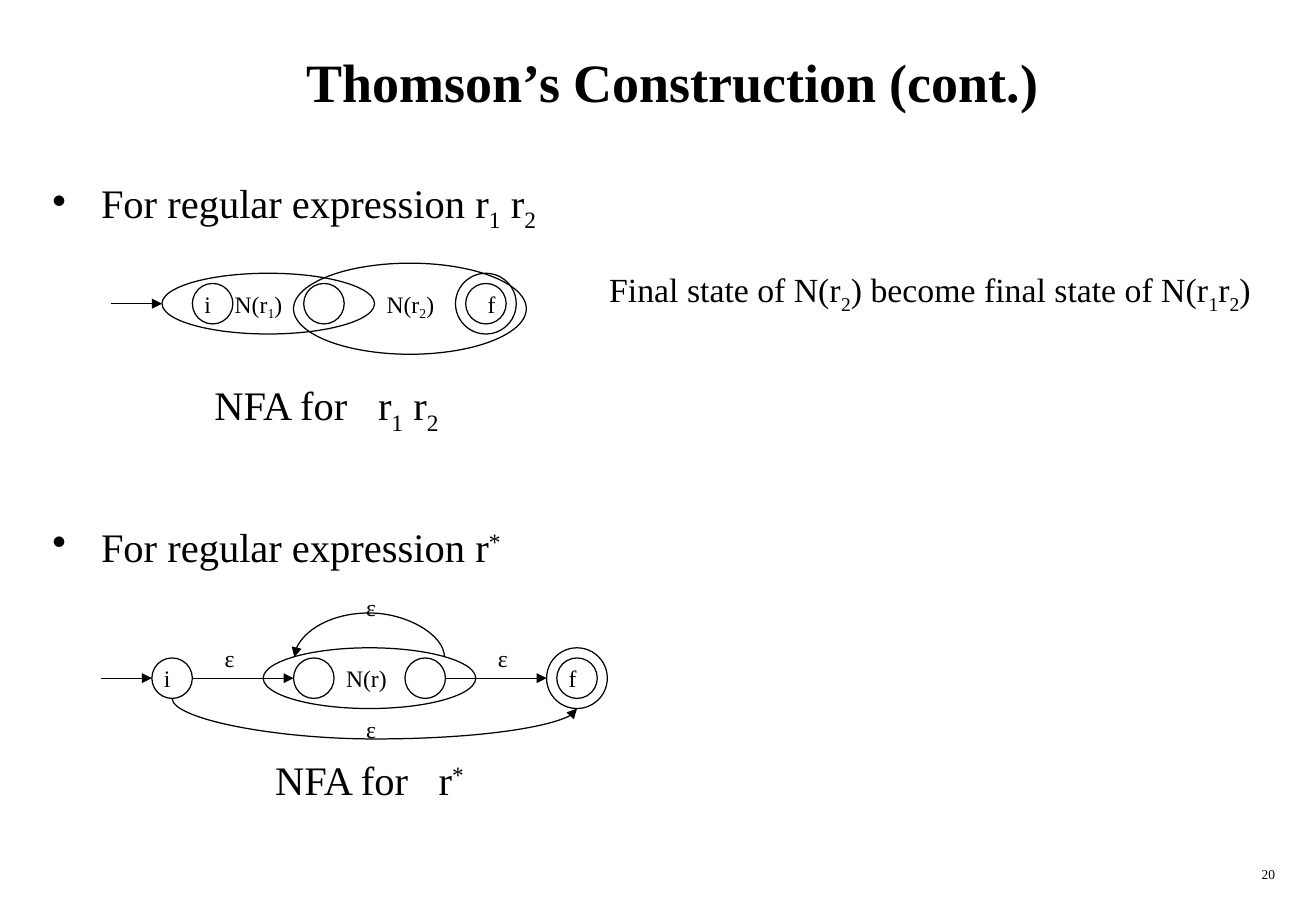
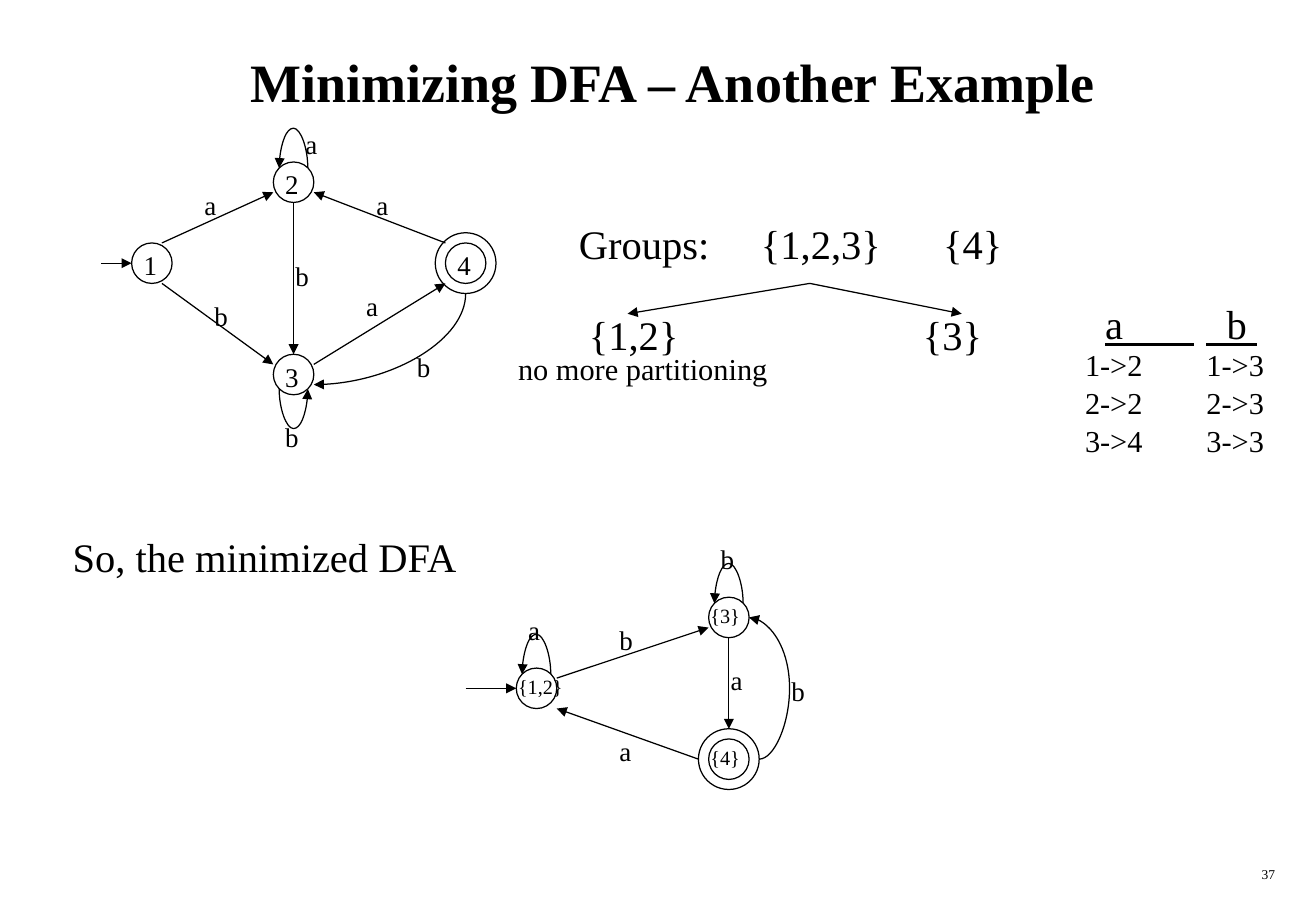
"""Build two slides on automata: Thomson's construction and DFA minimization."""
import math

import lxml.etree
import pptx
import pptx.dml.color
import pptx.enum.shapes
import pptx.enum.text
import pptx.oxml.ns
import pptx.util

Pt = pptx.util.Pt
qn = pptx.oxml.ns.qn
ALIGN = pptx.enum.text.PP_ALIGN
ANCHOR = pptx.enum.text.MSO_ANCHOR
INK = pptx.dml.color.RGBColor.from_string("000000")
FONT = "Times New Roman"
THIN = 0.75
STATE = 24
RING = 6
LOOP_REACH = 8.5
LOOP_BEND = 21.6
SLIVER = 0.13


def fill_text(box, text, size, bold=False, align=ALIGN.LEFT, anchor=ANCHOR.TOP,
              wrap=False, stops=(), bullet=False):
    """Write lines whose runs, split by |, alternate between normal and shifted."""
    frame = box.text_frame
    frame_format = {"word_wrap": wrap, "vertical_anchor": anchor,
                    "auto_size": pptx.enum.text.MSO_AUTO_SIZE.NONE}
    for name, value in frame_format.items():
        setattr(frame, name, value)
    for number, line in enumerate(text.split("\n")):
        para = frame.add_paragraph() if number else frame.paragraphs[0]
        properties = para._p.get_or_add_pPr()
        if bullet:
            properties.set("marL", str(Pt(28.8)))
            properties.set("indent", str(-Pt(28.8)))
            lxml.etree.SubElement(properties, qn("a:buChar"), char="•")
        if stops:
            tabs = lxml.etree.SubElement(properties, qn("a:tabLst"))
            for stop in stops:
                lxml.etree.SubElement(tabs, qn("a:tab"), pos=str(Pt(stop)), algn="l")
        para.alignment = align
        para.space_before = Pt(0.9 if number else 0)
        for index, piece in enumerate(line.split("|")):
            span = para.add_run()
            span.text = piece
            for name, value in {"name": FONT, "size": Pt(size), "bold": bold}.items():
                setattr(span.font, name, value)
            span.font.color.rgb = INK
            if index % 2:
                shift = "30000" if piece == "*" else "-25000"
                span._r.get_or_add_rPr().set("baseline", shift)


def add_line(page, start_x, start_y, end_x, end_y, preset="line", turn=0, bend=None,
             weight=THIN, head=True):
    """Join two points, measuring a curve's bend along its turned first axis."""
    middle_x, middle_y = (start_x + end_x) / 2, (start_y + end_y) / 2
    cosine, sine = math.cos(math.radians(turn)), math.sin(math.radians(turn))
    half_x = (end_x - middle_x) * cosine + (end_y - middle_y) * sine
    half_y = (end_y - middle_y) * cosine - (end_x - middle_x) * sine
    line = page.shapes.add_connector(
        pptx.enum.shapes.MSO_CONNECTOR.STRAIGHT,
        Pt(middle_x - half_x), Pt(middle_y - half_y),
        Pt(middle_x + half_x), Pt(middle_y + half_y))
    line.line.color.rgb = INK
    line.line.width = Pt(weight)
    properties = line._element.spPr
    if turn:
        properties.find(qn("a:xfrm")).set("rot", str(turn * 60000))
    geometry = properties.find(qn("a:prstGeom"))
    geometry.set("prst", preset)
    if bend is not None:
        guides = geometry.find(qn("a:avLst"))
        if guides is None:
            guides = lxml.etree.SubElement(geometry, qn("a:avLst"))
        ratio = round(100000 * bend / (2 * half_x))
        lxml.etree.SubElement(guides, qn("a:gd"), name="adj1", fmla=f"val {ratio}")
    if head:
        lxml.etree.SubElement(properties.find(qn("a:ln")), qn("a:tailEnd"), type="triangle")
    lxml.etree.SubElement(properties, qn("a:effectLst"))


thomson = {
    "title": "Thomson’s Construction (cont.)",
    "number": "20",
    "states": [(174, 390), (240, 390), (114, 168), (180, 168), (90, 390)],
    "accepting": [(276, 168), (330, 390)],
    "machines": [(156, 384, 126, 36), (96, 162, 126, 36), (174, 156, 138, 54)],
    "arrows": [(66, 180, 96, 180), (114, 402, 174, 402), (264, 402, 324, 402),
               (60, 402, 90, 402)],
    "curves": [(263.5, 389.5, 174.5, 389.5 + SLIVER, "curvedConnector3", 270, 24),
               (102, 414, 342, 420, "curvedConnector3", 270, -24)],
    "loops": [],
    "rules": [],
    "bullets": [(24, 102, 318, "For regular expression r|1| r|2"),
                (24, 306, 294, "For regular expression r|*")],
    "labels": [
        (114, 168, 19, 14, "i"), (282, 168, 19, 14, "f"),
        (222, 168, 43, 14, "N(r|2|)"), (132, 168, 43, 14, "N(r|1|)"),
        (120, 222, 153, 24, "NFA for\tr|1| r|2", 97),
        (354, 156, 395, 20, "Final state of N(r|2|) become final state of N(r|1|r|2|)"),
        (198, 390, 38, 14, "N(r)"), (90, 390, 19, 14, "i"), (330, 390, 19, 14, "f"),
        (156, 444, 130, 24, "NFA for\tr|*", 97),
        (126, 378, 21, 14, "ε"), (288, 378, 21, 14, "ε"),
        (210, 420, 21, 14, "ε"), (210, 348, 21, 14, "ε"),
    ],
}
minimizing = {
    "title": "Minimizing DFA – Another Example",
    "number": "37",
    "states": [(78, 144), (162, 96), (162, 210), (306, 396), (420, 354)],
    "accepting": [(420, 438), (264, 144)],
    "machines": [],
    "arrows": [(60, 156, 78, 156), (96, 144, 162, 114), (96, 168, 162, 216),
               (174, 120, 174, 210), (186, 216, 264, 168), (264, 144, 186, 114),
               (480, 168, 372, 186), (480, 168, 570, 186), (330, 402, 420, 372),
               (414, 450, 330, 420), (432, 378, 432, 432), (276, 408, 306, 408)],
    "curves": [(276, 174, 186, 228, "curvedConnector2", 90, None),
               (450, 450, 444, 366, "curvedConnector3", 0, 18)],
    "loops": [(174, 108, 1), (174, 222, -1), (318, 408, 1), (432, 366, 1)],
    "rules": [(655, 204, 707.5, 204), (715, 204, 745, 204)],
    "bullets": [],
    "labels": [
        (162, 246, 22, 16, "b"), (120, 174, 22, 16, "b"), (240, 204, 22, 16, "b"),
        (210, 168, 22, 16, "a"), (216, 108, 22, 16, "a"), (174, 72, 22, 16, "a"),
        (114, 108, 22, 16, "a"), (168, 150, 22, 16, "b"), (264, 144, 22, 16, "4"),
        (162, 210, 22, 16, "3"), (162, 96, 22, 16, "2"), (78, 144, 22, 16, "1"),
        (336, 126, 266, 24, "Groups:\t{1,2,3}\t{4}", 108, 216),
        (648, 174, 109, 24, "a\tb", 72),
        (636, 201.6, 121, 18, "1->2\t1->3\n2->2\t2->3\n3->4\t3->3", 72),
        (342, 180, 68, 24, "{1,2}"), (540, 180, 50, 24, "{3}"),
        (300, 204, 163, 18, "no more partitioning"),
        (36, 312, 243, 24, "So, the minimized DFA"),
        (300, 396, 41, 12, "{1,2}"), (414, 438, 32, 12, "{4}"), (414, 354, 32, 12, "{3}"),
        (360, 366, 22, 16, "b"), (426, 390, 22, 16, "a"), (360, 432, 22, 16, "a"),
        (306, 360, 22, 16, "a"), (462, 396, 22, 16, "b"), (420, 318, 22, 16, "b"),
    ],
}

deck = pptx.Presentation()
deck.slide_width, deck.slide_height = Pt(780), Pt(540)

for content in (thomson, minimizing):
    page = deck.slides.add_slide(deck.slide_layouts[5])
    title = page.shapes.title
    title_place = {"left": 30, "top": 12, "width": 738, "height": 72}
    for name, value in title_place.items():
        setattr(title, name, Pt(value))
    fill_text(title, content["title"], 32, True, ALIGN.CENTER, ANCHOR.MIDDLE, True)
    number_box = page.shapes.add_textbox(Pt(600), Pt(510), Pt(163), Pt(18))
    fill_text(number_box, content["number"], 8, align=ALIGN.RIGHT, wrap=True)

    ovals = list(content["machines"])
    for left, top in content["states"] + content["accepting"]:
        ovals.append((left, top, STATE, STATE))
    for left, top in content["accepting"]:
        ovals.append((left - RING, top - RING, STATE + 2 * RING, STATE + 2 * RING))
    for place in ovals:
        oval = page.shapes.add_shape(
            pptx.enum.shapes.MSO_SHAPE.OVAL, *[Pt(value) for value in place])
        oval.shadow.inherit = False
        oval.fill.background()
        oval.line.color.rgb = INK
        oval.line.width = Pt(THIN)

    for line in content["arrows"] + content["curves"]:
        add_line(page, *line)
    for x, y, side in content["loops"]:
        reach = LOOP_REACH * side
        add_line(page, x + reach, y - reach, x - reach, y - reach + SLIVER,
                 "curvedConnector3", 270, LOOP_BEND * side)
    for line in content["rules"]:
        add_line(page, *line, weight=1.75, head=False)

    for left, top, width, text in content["bullets"]:
        box = page.shapes.add_textbox(Pt(left), Pt(top), Pt(width), Pt(36))
        fill_text(box, text, 24, wrap=True, bullet=True)
    for left, top, width, size, text, *stops in content["labels"]:
        height = 1.2 * size * len(text.split("\n")) + 7.2
        box = page.shapes.add_textbox(Pt(left), Pt(top), Pt(width), Pt(height))
        fill_text(box, text, size, stops=stops)

deck.save("out.pptx")
